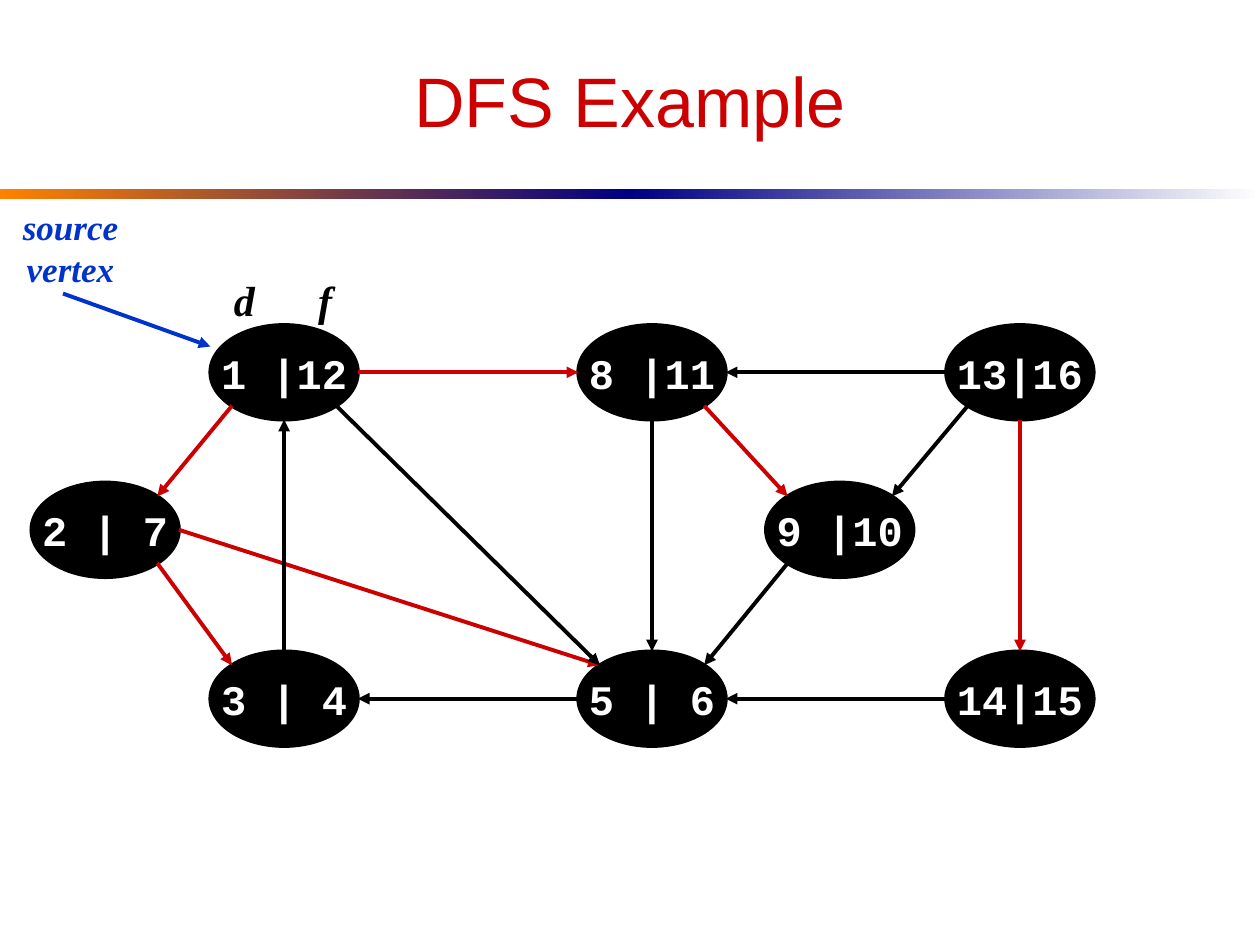
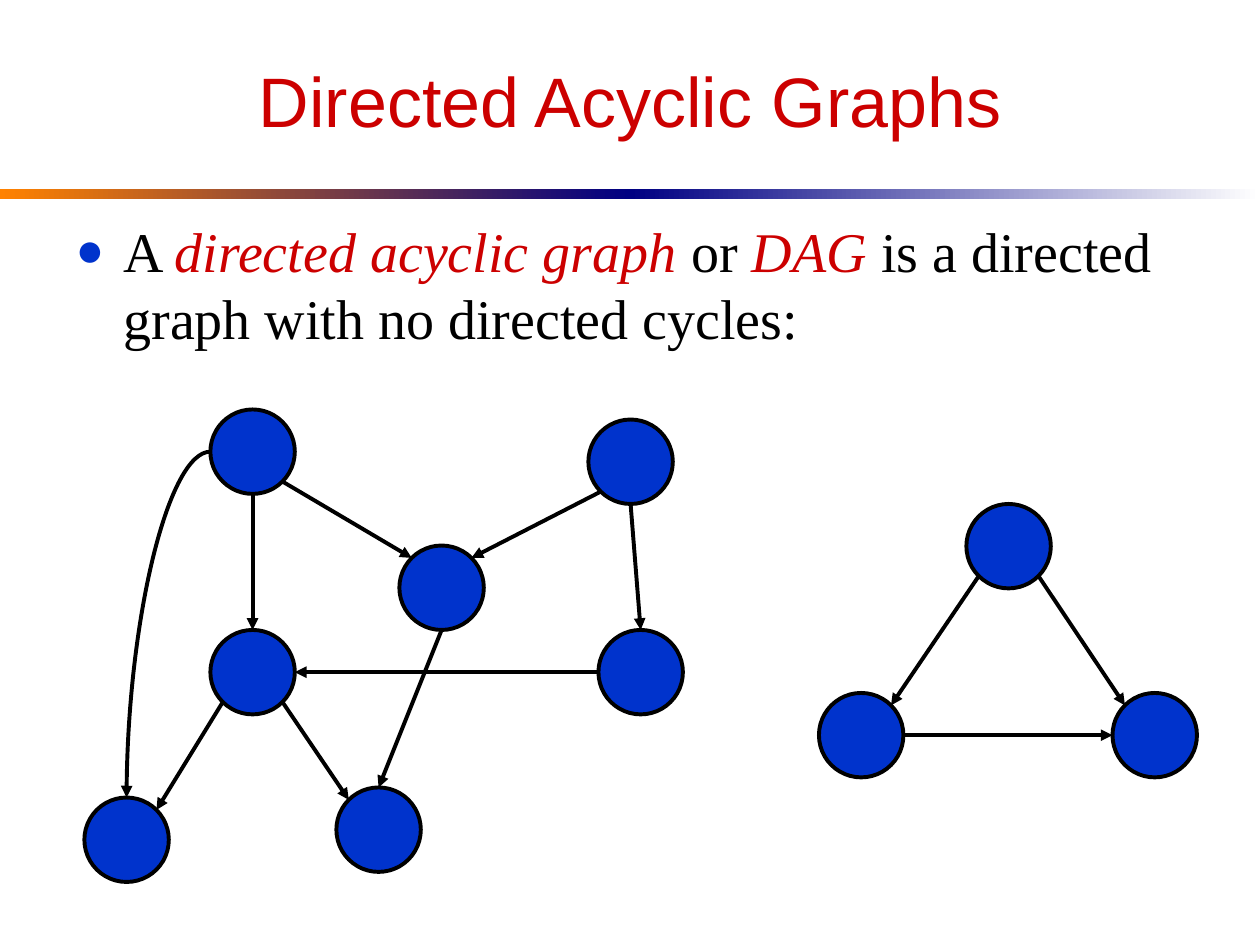
from math import cos, radians, sin

from lxml.etree import SubElement
from pptx import Presentation
from pptx.dml.color import RGBColor
from pptx.enum.shapes import MSO_CONNECTOR, MSO_SHAPE
from pptx.enum.text import MSO_ANCHOR, PP_ALIGN
from pptx.oxml.ns import qn
from pptx.util import Inches, Pt

RED = RGBColor(0xCC, 0x00, 0x00)
BLUE = RGBColor(0x00, 0x33, 0xCC)
BLACK = RGBColor(0x00, 0x00, 0x00)
WHITE = RGBColor(0xFF, 0xFF, 0xFF)
ORANGE = RGBColor(0xFF, 0x82, 0x00)
NAVY = RGBColor(0x00, 0x00, 0x82)

SERIF = "Times New Roman"
LINE_WIDTH = Pt(2.25)
SITES = ("top", "top_left", "left", "bottom_left",
         "bottom", "bottom_right", "right", "top_right")


def set_font(font, name, size, color, bold=False, italic=False):
    font.name = name
    font.size = Pt(size)
    font.color.rgb = color
    font.bold = bold
    font.italic = italic


def add_band(slide, left, top, width, height):
    half = width / 2
    for index, colors in enumerate(((ORANGE, NAVY), (NAVY, WHITE))):
        shape = slide.shapes.add_shape(
            MSO_SHAPE.RECTANGLE, Inches(left + index * half), Inches(top),
            Inches(half), Inches(height))
        shape.shadow.inherit = False
        shape.line.fill.background()
        shape.fill.gradient()
        shape.fill.gradient_angle = 0
        for stop, color in zip(shape.fill.gradient_stops, colors):
            stop.color.rgb = color


def place(shape, left, top, width, height):
    shape.left, shape.top = Inches(left), Inches(top)
    shape.width, shape.height = Inches(width), Inches(height)


def add_titled_slide(presentation, layout_index, text):
    slide = presentation.slides.add_slide(presentation.slide_layouts[layout_index])
    add_band(slide, 0, 1.5, 10, 0.08)
    title = slide.shapes.title
    place(title, 0.5, 0.25, 9, 1.08)
    title.text_frame.text = text
    title.text_frame.vertical_anchor = MSO_ANCHOR.MIDDLE
    paragraph = title.text_frame.paragraphs[0]
    paragraph.alignment = PP_ALIGN.CENTER
    set_font(paragraph.font, "Arial", 40, RED)
    return slide


def add_label(slide, left, top, width, height, text, size, color):
    box = slide.shapes.add_textbox(
        Inches(left), Inches(top), Inches(width), Inches(height))
    box.text_frame.word_wrap = False
    box.text_frame.text = text
    paragraph = box.text_frame.paragraphs[0]
    paragraph.alignment = PP_ALIGN.CENTER
    set_font(paragraph.font, SERIF, size, color, bold=True, italic=True)


def add_node(slide, left, top, width, height, fill, text=""):
    node = slide.shapes.add_shape(
        MSO_SHAPE.OVAL, Inches(left), Inches(top), Inches(width), Inches(height))
    node.shadow.inherit = False
    node.fill.solid()
    node.fill.fore_color.rgb = fill
    node.line.color.rgb = BLACK
    node.line.width = LINE_WIDTH
    if text:
        frame = node.text_frame
        frame.word_wrap = False
        frame.vertical_anchor = MSO_ANCHOR.MIDDLE
        frame.text = text
        frame.paragraphs[0].alignment = PP_ALIGN.CENTER
        set_font(frame.paragraphs[0].font, "Courier New", 24, WHITE, bold=True)
    return node


def add_arrow(slide, begin, end, color, kind=MSO_CONNECTOR.STRAIGHT):
    arrow = slide.shapes.add_connector(kind, *begin, *end)
    arrow.line.color.rgb = color
    arrow.line.width = LINE_WIDTH
    SubElement(arrow.line._get_or_add_ln(), qn("a:tailEnd"), type="triangle")
    properties = arrow._element.spPr
    SubElement(properties, qn("a:effectLst"))
    if kind == MSO_CONNECTOR.CURVE:
        properties.find(qn("a:prstGeom")).set("prst", "curvedConnector2")
    return arrow


def site_point(node, site):
    angle = radians(90 + 45 * SITES.index(site))
    return (int(node.left + node.width * (1 + cos(angle)) / 2),
            int(node.top + node.height * (1 - sin(angle)) / 2))


def join_nodes(slide, nodes, edge, color, kind=MSO_CONNECTOR.STRAIGHT):
    source, source_site, target, target_site = edge
    ends = (("a:stCxn", nodes[source], source_site),
            ("a:endCxn", nodes[target], target_site))
    begin, end = (site_point(node, site) for _, node, site in ends)
    arrow = add_arrow(slide, begin, end, color, kind)
    for tag, node, site in ends:
        SubElement(arrow._element.nvCxnSpPr.cNvCxnSpPr, qn(tag),
                   id=str(node.shape_id), idx=str(SITES.index(site)))


def add_search_graph(slide, left, top):
    column, lower, middle = 2.92, 2.59, 1.25
    first = 1.42
    positions = {
        "1 |12": (first, 0), "8 |11": (first + column, 0),
        "13|16": (first + 2 * column, 0), "14|15": (first + 2 * column, lower),
        "5 | 6": (first + column, lower), "3 | 4": (first, lower),
        "2 | 7": (0, middle), "9 |10": (5.83, middle),
    }
    nodes = {text: add_node(slide, left + x, top + y, 1.17, 0.75, BLACK, text)
             for text, (x, y) in positions.items()}
    edges = (
        ("1 |12", "bottom_left", "2 | 7", "top_right", RED),
        ("2 | 7", "bottom_right", "3 | 4", "top_left", RED),
        ("2 | 7", "right", "5 | 6", "top_left", RED),
        ("5 | 6", "left", "3 | 4", "right", BLACK),
        ("3 | 4", "top", "1 |12", "bottom", BLACK),
        ("1 |12", "bottom_right", "5 | 6", "top_left", BLACK),
        ("8 |11", "bottom", "5 | 6", "top", BLACK),
        ("1 |12", "right", "8 |11", "left", RED),
        ("13|16", "left", "8 |11", "right", BLACK),
        ("8 |11", "bottom_right", "9 |10", "top_left", RED),
        ("13|16", "bottom_left", "9 |10", "top_right", BLACK),
        ("13|16", "bottom", "14|15", "top", RED),
        ("14|15", "left", "5 | 6", "right", BLACK),
        ("9 |10", "bottom_left", "5 | 6", "top_right", BLACK),
    )
    for *edge, color in edges:
        join_nodes(slide, nodes, edge, color)


def add_circle_graph(slide, left, top, positions, edges):
    nodes = {name: add_node(slide, left + x, top + y, 0.67, 0.67, BLUE)
             for name, (x, y) in positions.items()}
    for edge in edges:
        join_nodes(slide, nodes, edge, BLACK)
    return nodes


def add_large_dag(slide, left, top):
    positions = {
        "start": (1, 0), "second start": (4, 0.08), "middle": (2.5, 1.08),
        "hub": (1, 1.75), "right": (4.08, 1.75),
        "right sink": (2, 3), "left sink": (0, 3.08),
    }
    edges = (
        ("start", "bottom", "hub", "top"),
        ("start", "bottom_right", "middle", "top_left"),
        ("second start", "bottom_left", "middle", "top_right"),
        ("second start", "bottom", "right", "top"),
        ("right", "left", "hub", "right"),
        ("middle", "bottom", "right sink", "top"),
        ("hub", "bottom_right", "right sink", "top_left"),
        ("hub", "bottom_left", "left sink", "top_right"),
    )
    nodes = add_circle_graph(slide, left, top, positions, edges)
    join_nodes(slide, nodes, ("start", "left", "left sink", "top"),
               BLACK, MSO_CONNECTOR.CURVE)


def add_triangle_dag(slide, left, top):
    positions = {"apex": (1.17, 0), "right": (2.33, 1.5), "left": (0, 1.5)}
    edges = (
        ("apex", "bottom_left", "left", "top_right"),
        ("left", "right", "right", "left"),
        ("apex", "bottom_right", "right", "top_left"),
    )
    add_circle_graph(slide, left, top, positions, edges)


def add_definition(slide, left, top, width, height):
    body = slide.placeholders[1]
    place(body, left, top, width, height)
    paragraph = body.text_frame.paragraphs[0]
    paragraph.space_before = Pt(8)
    properties = paragraph._p.get_or_add_pPr()
    properties.set("marL", str(Inches(0.38)))
    properties.set("indent", str(-Inches(0.38)))
    bullet_color = SubElement(properties, qn("a:buClr"))
    SubElement(bullet_color, qn("a:srgbClr"), val=str(BLUE))
    SubElement(properties, qn("a:buSzPct"), val="85000")
    SubElement(properties, qn("a:buFont"), typeface=SERIF)
    SubElement(properties, qn("a:buChar"), char="●")
    for text, is_term in (("A ", False), ("directed acyclic graph", True),
                          (" or ", False), ("DAG", True),
                          (" is a directed graph with no directed cycles:", False)):
        run = paragraph.add_run()
        run.text = text
        set_font(run.font, SERIF, 32, RED if is_term else BLACK, italic=is_term)


def build_search_slide(presentation):
    slide = add_titled_slide(presentation, 5, "DFS Example")
    add_search_graph(slide, 0.25, 2.58)
    add_arrow(slide, (Inches(0.5), Inches(2.33)), (Inches(1.67), Inches(2.75)), BLUE)
    add_label(slide, 0.08, 1.58, 0.96, 0.77, "source\vvertex", 20, BLUE)
    for center, text in ((1.94, "d"), (2.58, "f")):
        add_label(slide, center - 0.25, 2.13, 0.5, 0.5, text, 24, BLACK)


def build_acyclic_slide(presentation):
    slide = add_titled_slide(presentation, 1, "Directed Acyclic Graphs")
    add_definition(slide, 0.5, 1.67, 9, 4.75)
    add_large_dag(slide, 0.67, 3.25)
    add_triangle_dag(slide, 6.5, 4)


def main():
    presentation = Presentation()
    presentation.slide_width = Inches(10)
    presentation.slide_height = Inches(7.5)
    build_search_slide(presentation)
    build_acyclic_slide(presentation)
    presentation.save("out.pptx")


if __name__ == "__main__":
    main()
